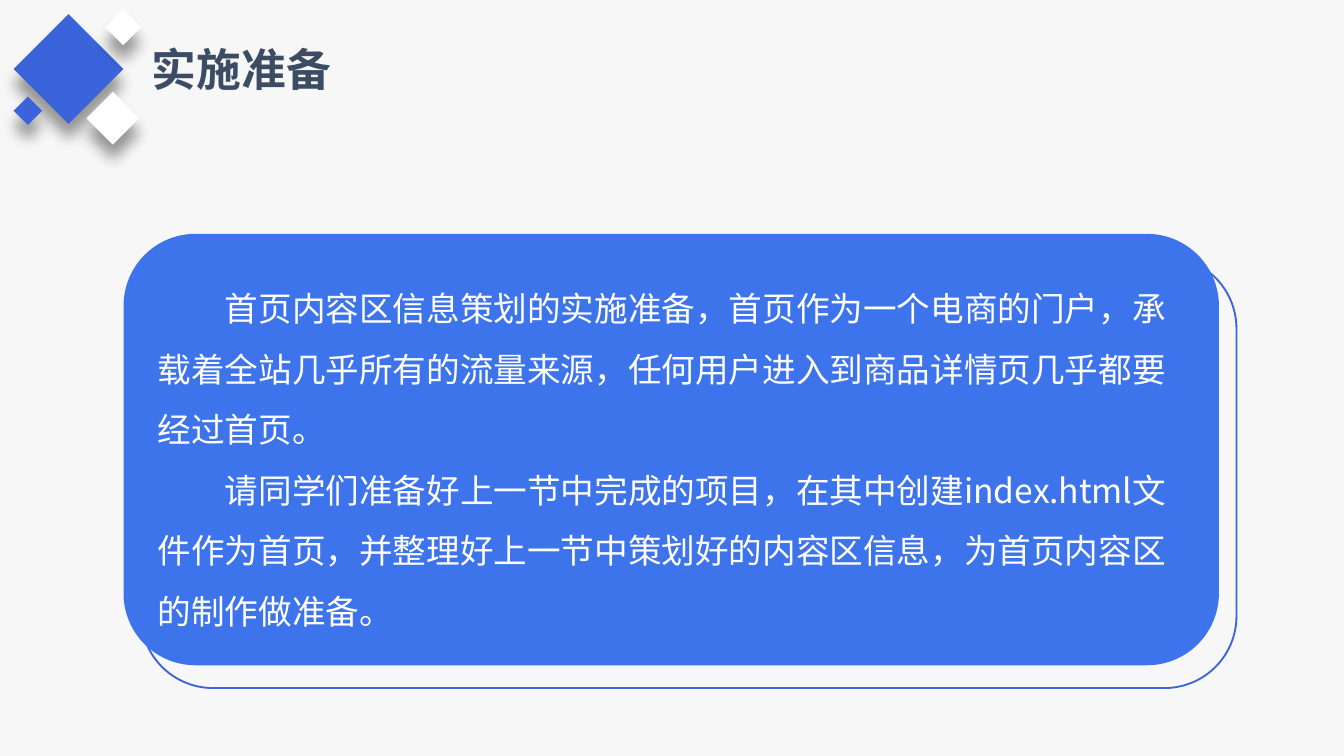
from dataclasses import dataclass

from lxml import etree
from pptx import Presentation
from pptx.dml.color import RGBColor
from pptx.enum.shapes import MSO_SHAPE
from pptx.enum.text import MSO_ANCHOR, MSO_AUTO_SIZE, PP_ALIGN
from pptx.oxml.ns import qn
from pptx.shapes.autoshape import Shape
from pptx.slide import Slide
from pptx.text.text import TextFrame
from pptx.util import Pt

RECTANGLE = MSO_SHAPE.RECTANGLE
ROUNDED = MSO_SHAPE.ROUNDED_RECTANGLE
TOP, MIDDLE = MSO_ANCHOR.TOP, MSO_ANCHOR.MIDDLE
LEFT = PP_ALIGN.LEFT
FIT_SHAPE = MSO_AUTO_SIZE.SHAPE_TO_FIT_TEXT
TITLE_ONLY = 5


@dataclass(frozen=True)
class Theme:
    background: str = "F7F7F7"
    accent: str = "3B64DA"
    panel: str = "3D74EB"
    white: str = "FFFFFF"
    heading: str = "3C4D63"
    shadow: str = "000000"
    font: str = "Noto Sans CJK SC"
    title_size: int = 24
    body_size: int = 18


@dataclass(frozen=True)
class Box:
    left: float
    top: float
    width: float
    height: float


@dataclass(frozen=True)
class Diamond:
    center_x: float
    center_y: float
    side: float
    color: str


THEME = Theme()
TITLE = "实施准备"
TITLE_BOX = Box(74.2, 18.7, 110.9, 36)
PANEL_BOX = Box(66.2, 125.3, 586.8, 231.1)
FRAME_BOX = Box(75.6, 137.5, 586.8, 231.1)
DIAMONDS = (
    Diamond(36.7, 37, 41.6, THEME.accent),
    Diamond(60.4, 63.4, 20, THEME.white),
    Diamond(65.9, 14.7, 13.6, THEME.white),
    Diamond(14.9, 59.4, 10.8, THEME.accent),
)
PARAGRAPHS = (
    "首页内容区信息策划的实施准备，首页作为一个电商的门户，承载着全站几乎所有的流量来源，"
    "任何用户进入到商品详情页几乎都要经过首页。",
    "请同学们准备好上一节中完成的项目，在其中创建index.html文件作为首页，"
    "并整理好上一节中策划好的内容区信息，为首页内容区的制作做准备。",
)


def rgb(color: str) -> RGBColor:
    return RGBColor.from_string(color)


def format_runs(frame: TextFrame, size: int, color: str, bold: bool = False) -> None:
    for paragraph in frame.paragraphs:
        for run in paragraph.runs:
            run.font.size = Pt(size)
            run.font.bold = bold
            run.font.color.rgb = rgb(color)
            run.font.name = THEME.font
            east_asian = etree.SubElement(run.font._element, qn("a:ea"))
            east_asian.set("typeface", THEME.font)


def add_box(slide: Slide, preset: MSO_SHAPE, box: Box, fill: str | None = None,
            outline: str | None = None) -> Shape:
    shape = slide.shapes.add_shape(
        preset, Pt(box.left), Pt(box.top), Pt(box.width), Pt(box.height))
    shape.shadow.inherit = False
    if fill:
        shape.fill.solid()
        shape.fill.fore_color.rgb = rgb(fill)
    else:
        shape.fill.background()
    if outline:
        shape.line.color.rgb = rgb(outline)
        shape.line.width = Pt(1)
    else:
        shape.line.fill.background()
    return shape


def add_drop_shadow(shape: Shape) -> None:
    effects = shape._element.spPr.find(qn("a:effectLst"))
    shadow = etree.SubElement(
        effects, qn("a:outerShdw"), blurRad=str(Pt(8)), dist=str(Pt(8)),
        dir="5400000", algn="t", rotWithShape="0")
    color = etree.SubElement(shadow, qn("a:srgbClr"), val=THEME.shadow)
    etree.SubElement(color, qn("a:alpha"), val="40000")


def add_diamond(slide: Slide, diamond: Diamond) -> None:
    half = diamond.side / 2
    box = Box(diamond.center_x - half, diamond.center_y - half, diamond.side, diamond.side)
    shape = add_box(slide, RECTANGLE, box, fill=diamond.color)
    shape.rotation = 45
    add_drop_shadow(shape)


def add_title(slide: Slide) -> None:
    title = slide.shapes.title
    title.left, title.top = Pt(TITLE_BOX.left), Pt(TITLE_BOX.top)
    title.width, title.height = Pt(TITLE_BOX.width), Pt(TITLE_BOX.height)
    frame = title.text_frame
    frame.text = TITLE
    frame.word_wrap = False
    frame.auto_size = FIT_SHAPE
    frame.vertical_anchor = TOP
    frame.paragraphs[0].alignment = LEFT
    format_runs(frame, THEME.title_size, THEME.heading, bold=True)


def add_panel(slide: Slide) -> None:
    panel = add_box(slide, ROUNDED, PANEL_BOX, fill=THEME.panel)
    frame = panel.text_frame
    frame.text = "\n".join(PARAGRAPHS)
    frame.word_wrap = True
    frame.vertical_anchor = MIDDLE
    for paragraph in frame.paragraphs:
        paragraph.alignment = LEFT
        paragraph.line_spacing = 1.5
        properties = paragraph._p.get_or_add_pPr()
        properties.set("marL", "0")
        properties.set("indent", str(Pt(36)))
    format_runs(frame, THEME.body_size, THEME.white)


def main() -> None:
    presentation = Presentation()
    presentation.slide_width, presentation.slide_height = Pt(720), Pt(405)
    slide = presentation.slides.add_slide(presentation.slide_layouts[TITLE_ONLY])
    slide.background.fill.solid()
    slide.background.fill.fore_color.rgb = rgb(THEME.background)
    add_title(slide)
    add_box(slide, ROUNDED, FRAME_BOX, outline=THEME.accent)
    for diamond in DIAMONDS:
        add_diamond(slide, diamond)
    add_panel(slide)
    presentation.save("out.pptx")


if __name__ == "__main__":
    main()
